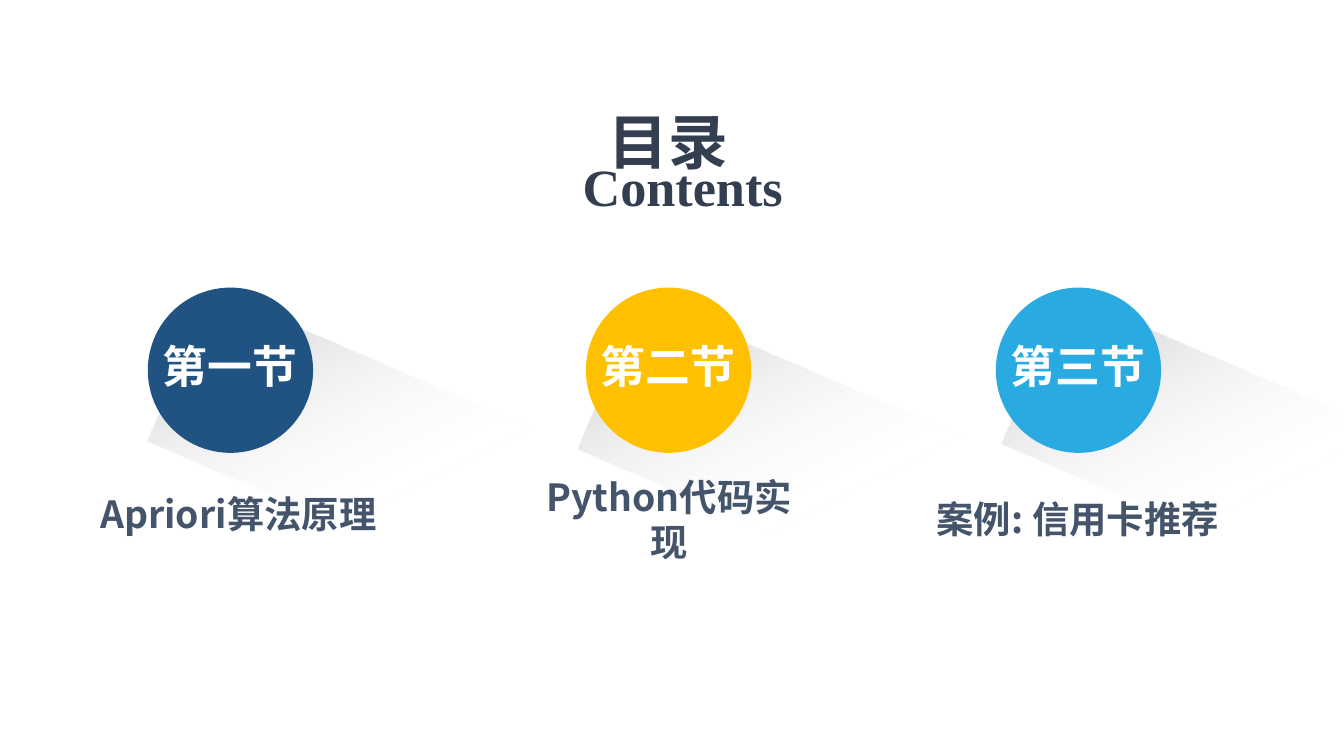
from pptx import Presentation
from pptx.dml.color import RGBColor as RGB
from pptx.enum.shapes import MSO_SHAPE as Kind
from pptx.enum.text import MSO_ANCHOR as Anchor, MSO_AUTO_SIZE as Auto, PP_ALIGN as Align
from pptx.oxml import parse_xml
from pptx.util import Inches, Pt

NAVY = RGB(0x20, 0x53, 0x81)
GOLD = RGB(0xFF, 0xC0, 0x00)
SKY = RGB(0x29, 0xAB, 0xE2)
DARK = RGB(0x33, 0x3F, 0x50)
SLATE = RGB(0x44, 0x54, 0x6A)
WHITE = RGB(0xFF, 0xFF, 0xFF)
BLUE = RGB(0x49, 0x91, 0xD2)
GREY = RGB(0xBF, 0xBF, 0xBF)
SANS = "Noto Sans CJK SC"
SERIF = "Times New Roman"
FADE = f"""<a:gradFill rotWithShape="1"
 xmlns:a="http://schemas.openxmlformats.org/drawingml/2006/main"><a:gsLst>
<a:gs pos="0"><a:srgbClr val="{BLUE}"><a:alpha val="54000"/></a:srgbClr></a:gs>
<a:gs pos="0"><a:srgbClr val="{GREY}"/></a:gs>
<a:gs pos="54000"><a:srgbClr val="{WHITE}"><a:alpha val="0"/></a:srgbClr></a:gs>
</a:gsLst><a:lin ang="2400000" scaled="0"/></a:gradFill>"""


def write(shape, text, size, color, font=SANS, align=Align.CENTER,
          anchor=Anchor.TOP, wrap=True, pad=0):
    frame = shape.text_frame
    frame.auto_size = Auto.NONE
    frame.word_wrap = wrap
    frame.vertical_anchor = anchor
    frame.margin_left = frame.margin_right = Inches(pad)
    frame.margin_top = frame.margin_bottom = Inches(pad / 2)
    para = frame.paragraphs[0]
    para.alignment = align
    para.line_spacing = 1.0
    run = para.add_run()
    run.text = text
    run.font.size = Pt(size)
    run.font.bold = True
    run.font.name = font
    run.font.color.rgb = color
    east = run.font._element.makeelement(
        "{http://schemas.openxmlformats.org/drawingml/2006/main}ea", {"typeface": font})
    run.font._element.append(east)


def draw(kind, left, top, width, height, color=None):
    shape = slide.shapes.add_shape(
        kind, Inches(left), Inches(top), Inches(width), Inches(height))
    shape.shadow.inherit = False
    shape.line.fill.background()
    if color is None:
        shape.fill.background()
    else:
        shape.fill.solid()
        shape.fill.fore_color.rgb = color
    return shape


deck = Presentation()
deck.slide_width, deck.slide_height = Inches(10), Inches(10 * 9 / 16)
slide = deck.slides.add_slide(deck.slide_layouts[5])

title = slide.shapes.title
title.left, title.top = Inches(4.53), Inches(0.78)
title.width, title.height = Inches(1.1), Inches(0.5)
write(title, "目录", 32, DARK, align=Align.JUSTIFY)

for left, top in [(1.19, 2.85), (7.54, 2.87), (4.39, 2.91)]:
    shade = draw(Kind.RECTANGLE, left, top, 3.72, 1.22)
    shade.rotation = 23.3
    blank = shade.fill._xPr.noFill
    blank.getparent().replace(blank, parse_xml(FADE))

label = draw(Kind.DIAMOND, 4.45, 0.76, 1.26, 1.24)
write(label, "Contents", 28, DARK, font=SERIF, anchor=Anchor.MIDDLE, wrap=False)

parts = [
    (1.71, NAVY, "第一节", "Apriori算法原理", 0.59, 3.65, 2.37),
    (4.97, GOLD, "第二节", "Python代码实现", 3.94, 3.69, 2.08),
    (8.02, SKY, "第三节", "案例: 信用卡推荐", 6.95, 3.69, 2.14),
]
for mid, color, name, topic, left, top, width in parts:
    draw(Kind.OVAL, mid - 0.61, 2.14, 1.23, 1.23, color)
    box = slide.shapes.add_textbox(Inches(mid - 0.66), Inches(2.47), Inches(1.32), Inches(0.5))
    write(box, name, 24, WHITE, wrap=False, pad=0.1)
    box = slide.shapes.add_textbox(Inches(left), Inches(top), Inches(width), Inches(0.34))
    write(box, topic, 20, SLATE, anchor=Anchor.MIDDLE)

deck.save("out.pptx")
